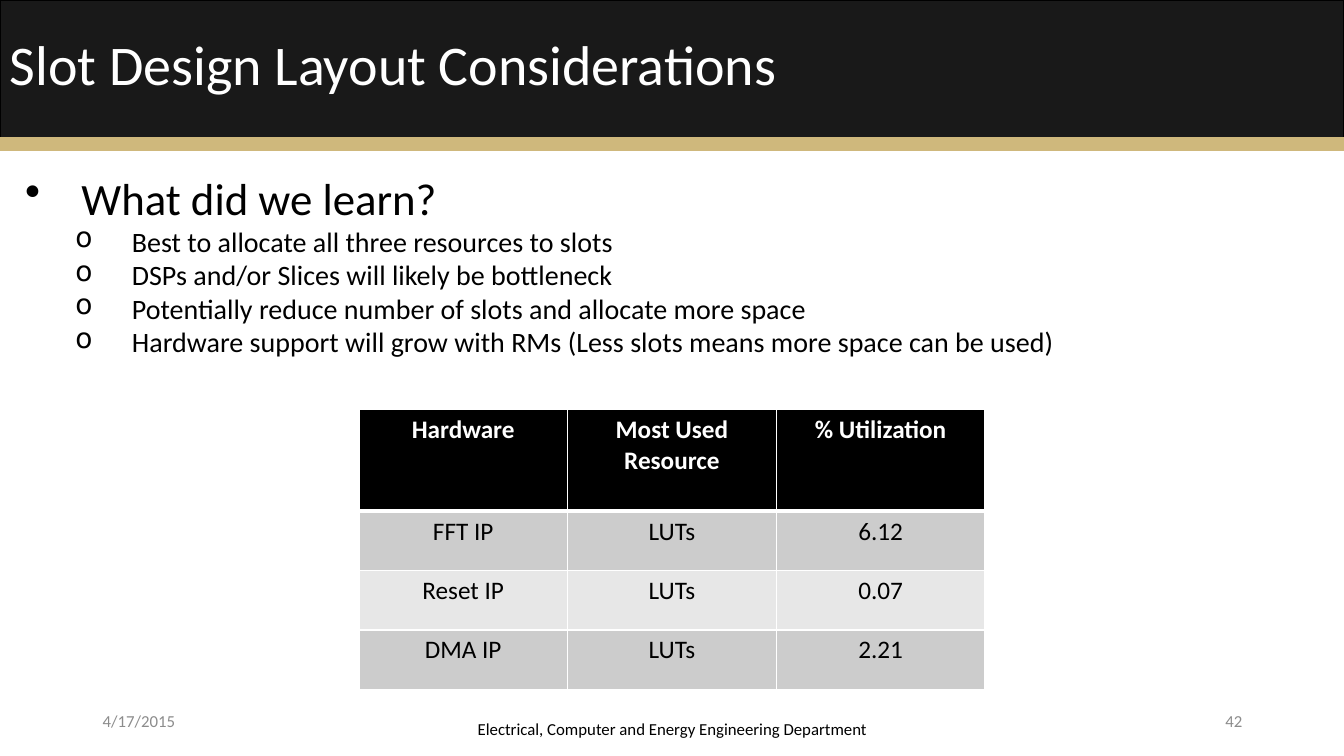
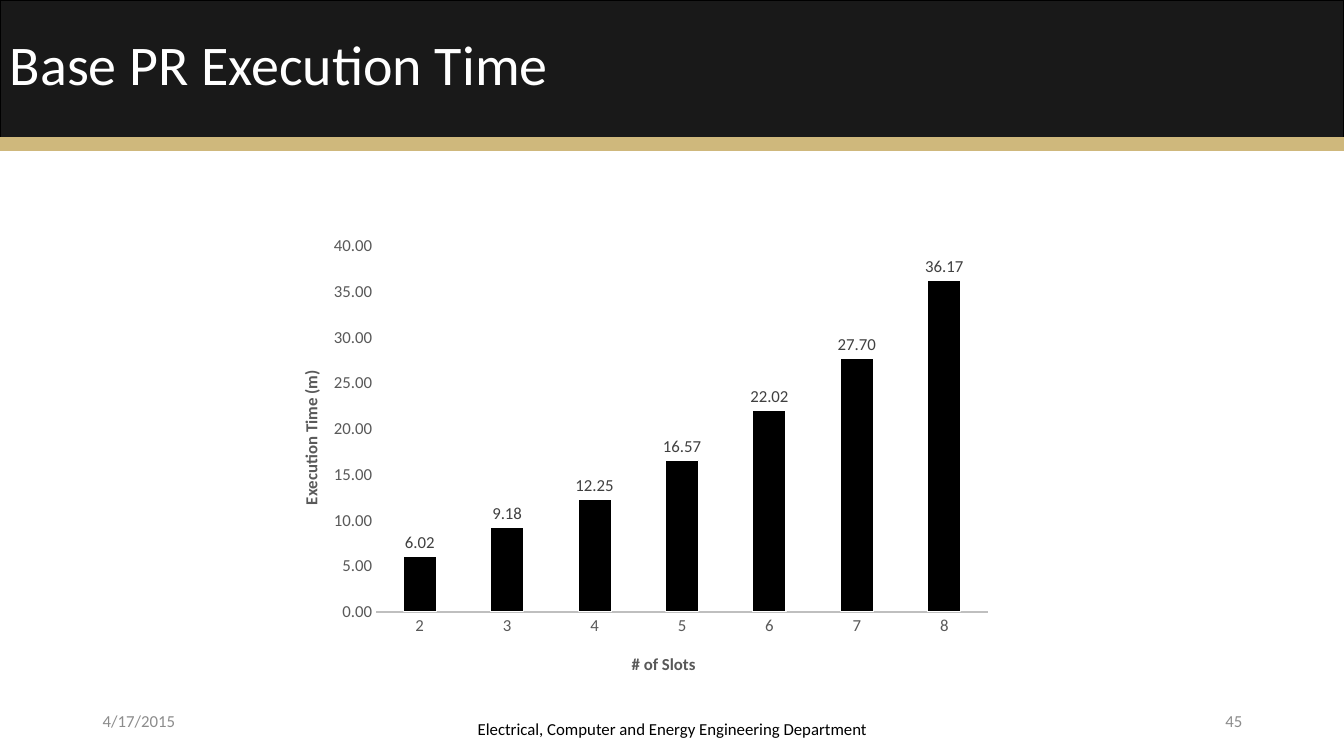
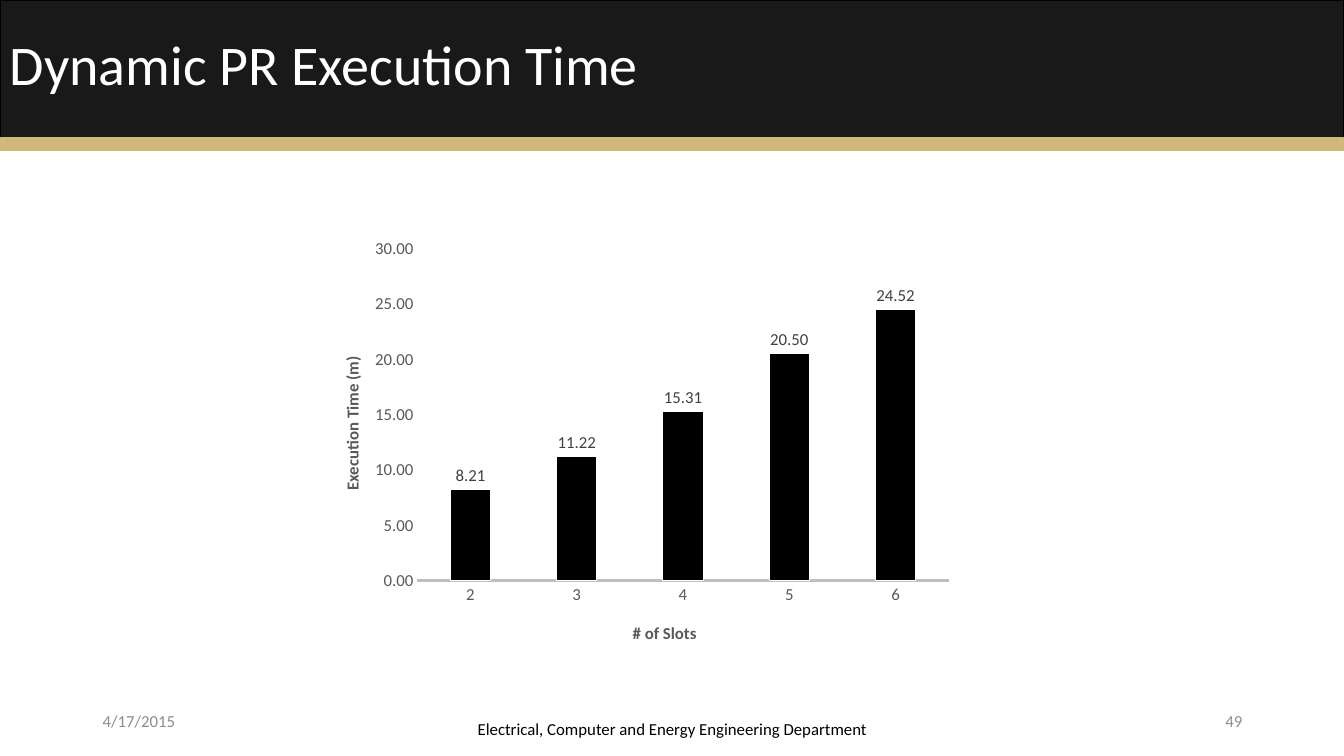
from lxml import etree
from pptx import Presentation
from pptx.chart import data as chartdata
from pptx.dml import color
from pptx.enum import chart as charts, shapes, text
from pptx.oxml import ns, parse_xml
from pptx.util import Inches, Pt

FONT = "Calibri"
BLACK, WHITE, GRAY = "000000", "FFFFFF", "8C8C8C"
AXIS_TEXT, AXIS_LINE, LABEL_TEXT = "595959", "BFBFBF", "404040"
LEFT, CENTER, RIGHT = text.PP_ALIGN.LEFT, text.PP_ALIGN.CENTER, text.PP_ALIGN.RIGHT
MIDDLE, TOP = text.MSO_ANCHOR.MIDDLE, text.MSO_ANCHOR.TOP

BANDS = [
    ((0, 0, 13.33, 1.46), "191919", BLACK),
    ((0, 1.37, 13.33, 0.12), "CFB87C", "CFB87C"),
]
DATE = "4/17/2015"
DEPARTMENT = "Electrical, Computer and Energy Engineering Department"

LESSON_HEADING = "What did we learn?"
LESSONS = [
    "Best to allocate all three resources to slots",
    "DSPs and/or Slices will likely be bottleneck",
    "Potentially reduce number of slots and allocate more space",
    "Hardware support will grow with RMs (Less slots means more space can be used)",
]
UTILIZATION = [
    ("Hardware", "Most Used Resource", "% Utilization"),
    ("FFT IP", "LUTs", "6.12"),
    ("Reset IP", "LUTs", "0.07"),
    ("DMA IP", "LUTs", "2.21"),
]
ROW_FILLS = [BLACK, "CCCCCC", "E7E7E7", "CCCCCC"]
ROW_HEIGHTS = [1.01, 0.59, 0.59, 0.59]
COLUMN_WIDTH = 2.07

EXECUTION_TIMES = [
    {"title": "Base PR Execution Time", "page": 45, "at": (2.69, 2.24, 7.25, 4.62), "top": 40,
     "minutes": {2: 6.02, 3: 9.18, 4: 12.25, 5: 16.57, 6: 22.02, 7: 27.7, 8: 36.17}},
    {"title": "Dynamic PR Execution Time", "page": 49, "at": (3.1, 2.27, 6.45, 4.28), "top": 30,
     "minutes": {2: 8.21, 3: 11.22, 4: 15.31, 5: 20.5, 6: 24.52}},
]


def rgb(value):
    return color.RGBColor.from_string(value)


def box(at):
    return [Inches(length) for length in at]


def style(font, size, tone, bold=False):
    font.name, font.size, font.bold = FONT, Pt(size), bold
    font.color.rgb = rgb(tone)


def paint(part, tone):
    part.fill.solid()
    part.fill.fore_color.rgb = rgb(tone)


def outline(line, tone, width):
    line.color.rgb = rgb(tone)
    line.width = Pt(width)


def write(paragraph, words, size, tone, align=LEFT, bold=False):
    paragraph.alignment = align
    run = paragraph.add_run()
    run.text = words
    style(run.font, size, tone, bold)


def add_text(slide, at, words, size, tone, align=LEFT, anchor=TOP):
    frame = slide.shapes.add_textbox(*box(at)).text_frame
    frame.word_wrap = True
    frame.vertical_anchor = anchor
    write(frame.paragraphs[0], words, size, tone, align)


def add_slide(deck, title, page):
    slide = deck.slides.add_slide(deck.slide_layouts[6])
    for at, fill, edge in BANDS:
        band = slide.shapes.add_shape(shapes.MSO_SHAPE.RECTANGLE, *box(at))
        band.shadow.inherit = False
        paint(band, fill)
        outline(band.line, edge, 1)
    add_text(slide, (0.92, 6.95, 3, 0.4), DATE, 12, GRAY, LEFT, MIDDLE)
    add_text(slide, (4.42, 6.95, 4.5, 0.55), DEPARTMENT, 12, BLACK, CENTER, MIDDLE)
    add_text(slide, (9.42, 6.95, 3, 0.4), str(page), 12, GRAY, RIGHT, MIDDLE)
    add_text(slide, (0, 0.24, 9.64, 0.77), title, 40, WHITE)
    return slide


def add_lessons(slide):
    frame = slide.shapes.add_textbox(*box((0.15, 1.64, 11.34, 1.99))).text_frame
    frame.word_wrap = True
    items = [(LESSON_HEADING, 0, "•", 32)] + [(lesson, 1, "o", 20) for lesson in LESSONS]
    for number, (words, level, bullet, size) in enumerate(items):
        paragraph = frame.add_paragraph() if number else frame.paragraphs[0]
        paragraph.level = level
        properties = paragraph._p.get_or_add_pPr()
        properties.set("marL", str(Inches(0.56 + 0.5 * level)))
        properties.set("indent", str(Inches(-0.56)))
        etree.SubElement(properties, ns.qn("a:buChar")).set("char", bullet)
        write(paragraph, words, size, BLACK)


def border(cell, side, width):
    line = parse_xml(
        f'<a:{side} {ns.nsdecls("a")} w="{Pt(width)}"><a:solidFill>'
        f'<a:srgbClr val="{WHITE}"/></a:solidFill></a:{side}>')
    properties = cell._tc.get_or_add_tcPr()
    properties.insert(len(properties.findall("*")), line)


def add_utilization(slide):
    columns = len(UTILIZATION[0])
    at = (3.56, 4.06, COLUMN_WIDTH * columns, sum(ROW_HEIGHTS))
    table = slide.shapes.add_table(len(UTILIZATION), columns, *box(at)).table
    for column in table.columns:
        column.width = Inches(COLUMN_WIDTH)
    for r, entries in enumerate(UTILIZATION):
        table.rows[r].height = Inches(ROW_HEIGHTS[r])
        header = r == 0
        for c, words in enumerate(entries):
            cell = table.cell(r, c)
            write(cell.text_frame.paragraphs[0], words, 18, WHITE if header else BLACK, CENTER, header)
            for side in ("lnL", "lnR", "lnT", "lnB"):
                thick = (r, side) in ((0, "lnB"), (1, "lnT"))
                border(cell, side, 3 if thick else 1)
            paint(cell, ROW_FILLS[r])


def place(element, index, chart_size, left, top, size=None, target=""):
    for old in element.findall(ns.qn("c:layout")):
        element.remove(old)
    layout = parse_xml(f'<c:layout {ns.nsdecls("c")}><c:manualLayout/></c:layout>')
    settings = [("xMode", "edge"), ("yMode", "edge"),
                ("x", left / chart_size[0]), ("y", top / chart_size[1])]
    if target:
        settings.insert(0, ("layoutTarget", target))
    if size:
        settings += [("w", size[0] / chart_size[0]), ("h", size[1] / chart_size[1])]
    for name, value in settings:
        etree.SubElement(layout[0], ns.qn("c:" + name)).set("val", str(value))
    element.insert(index, layout)


def add_execution_chart(slide, at, minutes, top):
    times = chartdata.CategoryChartData(number_format="0.00")
    times.categories = [str(slots) for slots in minutes]
    times.add_series("Series 1", minutes.values())
    chart = slide.shapes.add_chart(charts.XL_CHART_TYPE.COLUMN_CLUSTERED, *box(at), times).chart
    chart.has_legend = chart.has_title = False
    style(chart.font, 10, BLACK)

    plot = chart.plots[0]
    plot.gap_width, plot.overlap, plot.vary_by_categories = 164, -22, False
    bars = plot.series[0]
    paint(bars.format, BLACK)
    outline(bars.format.line, WHITE, 0.75)
    plot.has_data_labels = True
    labels = plot.data_labels
    labels.show_value = True
    labels.position = charts.XL_LABEL_POSITION.OUTSIDE_END
    labels.number_format, labels.number_format_is_linked = "0.00", False
    style(labels.font, 12, LABEL_TEXT)

    slots_axis, time_axis = chart.category_axis, chart.value_axis
    for axis, name in ((slots_axis, "# of Slots"), (time_axis, "Execution Time (m)")):
        axis.has_major_gridlines = False
        axis.major_tick_mark = axis.minor_tick_mark = charts.XL_TICK_MARK.NONE
        style(axis.tick_labels.font, 12, AXIS_TEXT)
        write(axis.axis_title.text_frame.paragraphs[0], name, 12, AXIS_TEXT, CENTER, True)
    outline(slots_axis.format.line, AXIS_LINE, 1.5)
    time_axis.format.line.fill.background()
    time_axis.minimum_scale, time_axis.maximum_scale, time_axis.major_unit = 0, top, 5
    time_axis.tick_labels.number_format = "0.00"
    time_axis.tick_labels.number_format_is_linked = False
    time_title = time_axis.axis_title._element
    time_title.xpath(".//a:bodyPr")[0].set("rot", "-5400000")

    size = width, height = at[2:]
    plot_left, plot_top = 1.04, 0.2
    plot_width, plot_height = width - plot_left - 0.14, height - plot_top - 0.79
    place(chart._chartSpace.chart.plotArea, 0, size, plot_left, plot_top,
          (plot_width, plot_height), "inner")
    place(slots_axis.axis_title._element, 1, size, plot_left + plot_width / 2 - 0.53, height - 0.41)
    place(time_title, 1, size, 0.25, plot_top + plot_height / 2 - 0.61)


def main():
    deck = Presentation()
    deck.slide_width, deck.slide_height = Inches(13.33), Inches(7.5)
    layout_slide = add_slide(deck, "Slot Design Layout Considerations", 42)
    add_lessons(layout_slide)
    add_utilization(layout_slide)
    for result in EXECUTION_TIMES:
        slide = add_slide(deck, result["title"], result["page"])
        add_execution_chart(slide, result["at"], result["minutes"], result["top"])
    deck.save("out.pptx")


if __name__ == "__main__":
    main()
